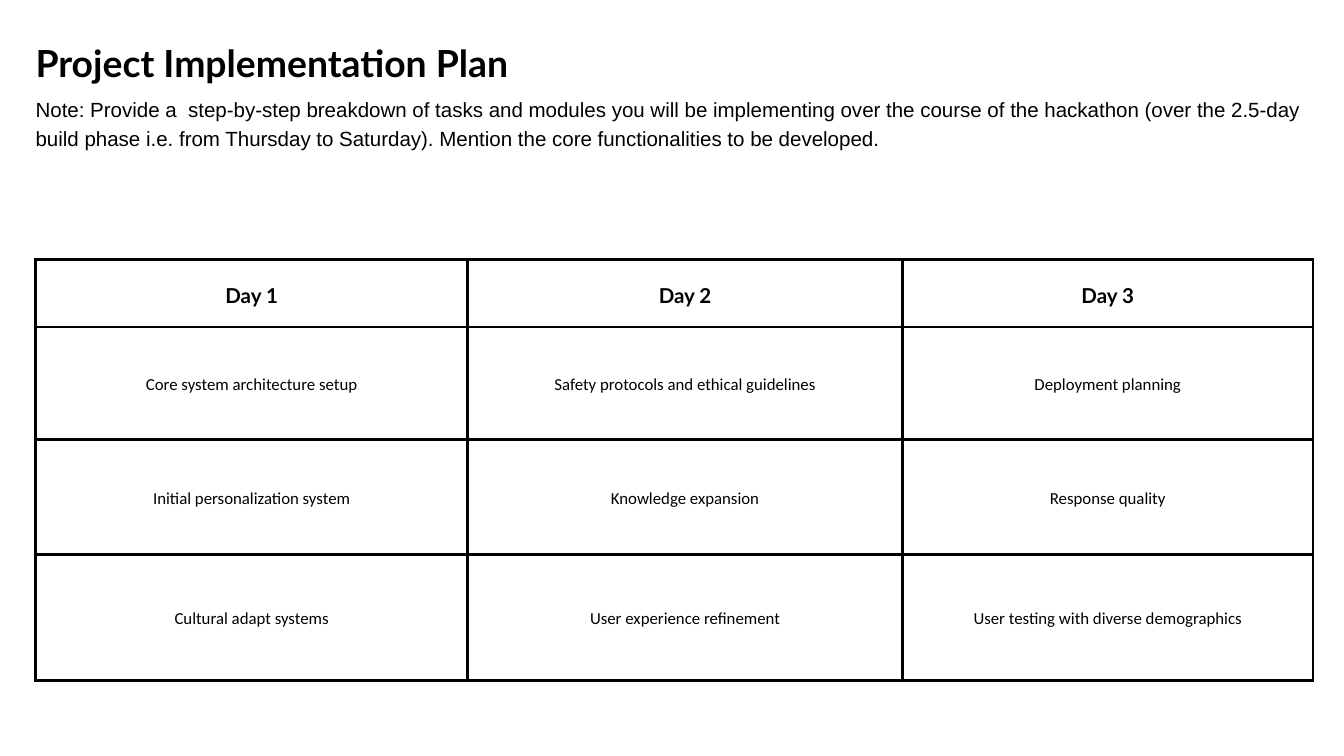
"""Builds the project implementation plan slide with its three-day table."""
from lxml import etree
from pptx import Presentation
from pptx.dml.color import RGBColor
from pptx.enum.text import MSO_ANCHOR, MSO_AUTO_SIZE, PP_ALIGN
from pptx.oxml.ns import qn
from pptx.util import Inches, Pt

TITLE = "Project Implementation Plan"
NOTE = (
    "Note: Provide a  step-by-step breakdown of tasks and modules you will be "
    "implementing over the course of the hackathon (over the 2.5-day build phase "
    "i.e. from Thursday to Saturday). Mention the core functionalities to be developed."
)
PLAN = [
    ("Day 1", "Day 2", "Day 3"),
    ("Core system architecture setup", "Safety protocols and ethical guidelines",
     "Deployment planning"),
    ("Initial personalization system", "Knowledge expansion", "Response quality"),
    ("Cultural adapt systems", "User experience refinement",
     "User testing with diverse demographics"),
]
COLUMN_WIDTHS = (6.43, 6.47, 6.11)
ROW_HEIGHTS = (1.01, 1.67, 1.71, 1.88)
LEFT, TABLE_TOP = 0.53, 3.86
CELL_MARGIN = 0.21
BORDER_WIDTH = Pt(3)
LINE_FACTOR = 1.4

BLACK = RGBColor(0, 0, 0)
WHITE = RGBColor(255, 255, 255)
LEFT_ALIGN, CENTER = PP_ALIGN.LEFT, PP_ALIGN.CENTER
TOP, MIDDLE = MSO_ANCHOR.TOP, MSO_ANCHOR.MIDDLE
FIT_SHAPE = MSO_AUTO_SIZE.SHAPE_TO_FIT_TEXT


def write(frame, text, font="Lato", size=22, bold=False, align=LEFT_ALIGN):
    para = frame.paragraphs[0]
    para.alignment = align
    para.line_spacing = Pt(size * LINE_FACTOR)
    span = para.add_run()
    span.text = text
    span.font.name = font
    span.font.size = Pt(size)
    span.font.bold = bold
    span.font.color.rgb = BLACK


def place(box, top, width, height):
    box.left, box.top = Inches(LEFT), Inches(top)
    box.width, box.height = Inches(width), Inches(height)
    frame = box.text_frame
    frame.margin_left = frame.margin_right = frame.margin_top = frame.margin_bottom = 0
    frame.word_wrap = True
    frame.vertical_anchor = TOP
    frame.auto_size = FIT_SHAPE
    return frame


def add_borders(cell):
    properties = cell._tc.get_or_add_tcPr()
    for position, side in enumerate(("lnL", "lnR", "lnT", "lnB")):
        line = etree.Element(qn(f"a:{side}"), w=str(BORDER_WIDTH))
        fill = etree.SubElement(line, qn("a:solidFill"))
        etree.SubElement(fill, qn("a:srgbClr"), val=str(BLACK))
        properties.insert(position, line)


def add_plan(slide):
    table = slide.shapes.add_table(
        len(PLAN), len(COLUMN_WIDTHS), Inches(LEFT), Inches(TABLE_TOP),
        Inches(sum(COLUMN_WIDTHS)), Inches(sum(ROW_HEIGHTS))).table
    table.horz_banding = False
    for column, width in zip(table.columns, COLUMN_WIDTHS):
        column.width = Inches(width)
    for row, height, texts in zip(table.rows, ROW_HEIGHTS, PLAN):
        row.height = Inches(height)
        header = texts is PLAN[0]
        for cell, text in zip(row.cells, texts):
            cell.margin_left = cell.margin_right = Inches(CELL_MARGIN)
            cell.margin_top = cell.margin_bottom = Inches(CELL_MARGIN)
            cell.vertical_anchor = MIDDLE
            cell.fill.solid()
            cell.fill.fore_color.rgb = WHITE
            add_borders(cell)
            write(cell.text_frame, text, font="Lato" if header else "Calibri",
                  size=22 if header else 18, bold=header, align=CENTER)


def main():
    deck = Presentation()
    deck.slide_width, deck.slide_height = Inches(20), Inches(11.25)
    page = deck.slides.add_slide(deck.slide_layouts[5])
    add_plan(page)
    write(place(page.shapes.title, 0.49, 11.05, 0.74), TITLE, size=40, bold=True)
    note = page.shapes.add_textbox(0, 0, 0, 0)
    write(place(note, 1.38, 19.02, 1.27), NOTE, font="Arial")
    deck.save("out.pptx")


if __name__ == "__main__":
    main()
